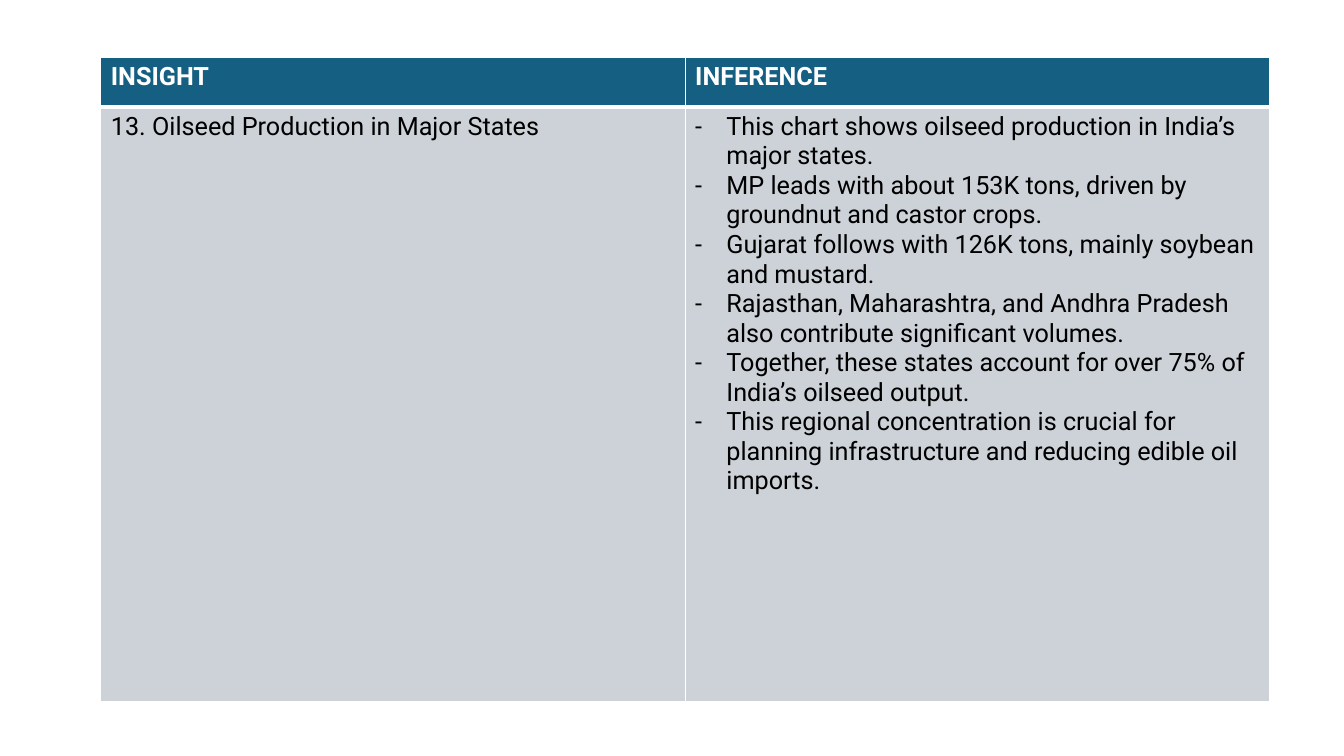
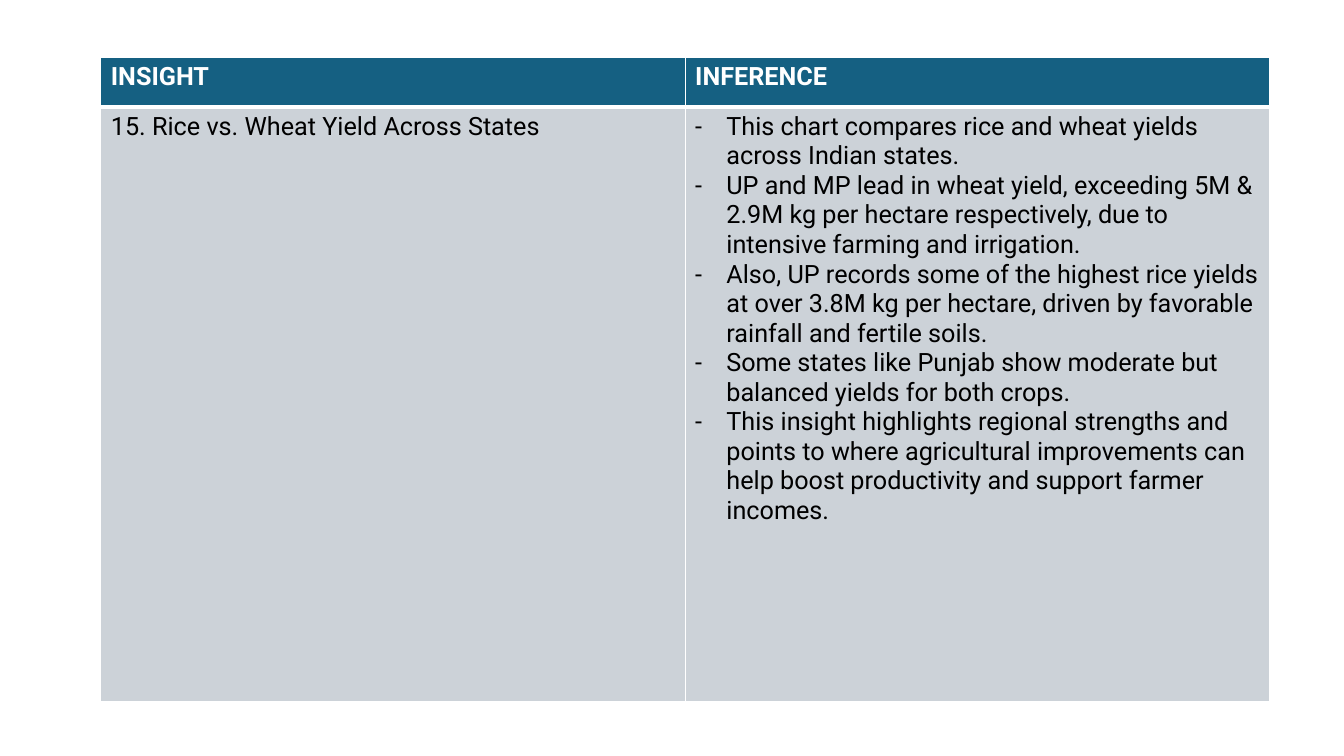
from dataclasses import dataclass

from pptx import Presentation
from pptx.dml.color import RGBColor
from pptx.oxml.ns import qn
from pptx.util import Inches, Pt
from lxml.etree import SubElement


@dataclass(frozen=True)
class Theme:
    """Colours, type and line weights shared by the slides."""
    header: str = "156082"
    body: str = "CCD2D8"
    light: str = "FFFFFF"
    dark: str = "000000"
    font: str = "Roboto"
    size: float = 18
    rule: float = 1
    header_rule: float = 3
    indent: float = 0.31


THEME = Theme()
SLIDE_W, SLIDE_H = 13.33, 7.5
TABLE_BOX = (1, 0.57, 11.59, 6.39)
HEADER_H = 0.49
HEADINGS = ("INSIGHT", "INFERENCE")
INSIGHTS = [
    ("13. Oilseed Production in Major States", [
        "This chart shows oilseed production in India’s major states.",
        "MP leads with about 153K tons, driven by groundnut and castor crops.",
        "Gujarat follows with 126K tons, mainly soybean and mustard.",
        "Rajasthan, Maharashtra, and Andhra Pradesh also contribute significant volumes.",
        "Together, these states account for over 75% of India’s oilseed output.",
        "This regional concentration is crucial for planning infrastructure and "
        "reducing edible oil imports.",
    ]),
    ("15. Rice vs. Wheat Yield Across States", [
        "This chart compares rice and wheat yields across Indian states.",
        "UP and MP lead in wheat yield, exceeding 5M & 2.9M kg per hectare "
        "respectively, due to intensive farming and irrigation.",
        "Also, UP records some of the highest rice yields at over 3.8M kg per hectare, "
        "driven by favorable rainfall and fertile soils.",
        "Some states like Punjab show moderate but balanced yields for both crops.",
        "This insight highlights regional strengths and points to where agricultural "
        "improvements can help boost productivity and support farmer incomes.",
    ]),
]


def add_dash(paragraph):
    """Give a paragraph a hanging dash bullet."""
    properties = paragraph._p.get_or_add_pPr()
    properties.set("marL", str(Inches(THEME.indent)))
    properties.set("indent", str(-Inches(THEME.indent)))
    SubElement(properties, qn("a:buFont"), typeface=THEME.font)
    SubElement(properties, qn("a:buChar"), char="-")


def style_cell(cell, fill, top, bottom):
    """Rule the four sides of a cell and fill it."""
    properties = cell._tc.get_or_add_tcPr()
    weights = {"L": THEME.rule, "R": THEME.rule, "T": top, "B": bottom}
    for side, weight in weights.items():
        rule = SubElement(properties, qn(f"a:ln{side}"), w=str(Pt(weight)))
        SubElement(SubElement(rule, qn("a:solidFill")), qn("a:srgbClr"), val=THEME.light)
    cell.fill.solid()
    cell.fill.fore_color.rgb = RGBColor.from_string(fill)


def write_cell(cell, lines, colour, bold=False, dashed=False):
    """Write one paragraph per line into a cell."""
    frame = cell.text_frame
    for index, line in enumerate(lines):
        paragraph = frame.add_paragraph() if index else frame.paragraphs[0]
        if dashed:
            add_dash(paragraph)
        run = paragraph.add_run()
        run.text = line
        run.font.name = THEME.font
        run.font.size = Pt(THEME.size)
        run.font.bold = bold
        run.font.color.rgb = RGBColor.from_string(colour)


def add_insight_table(slide, box, insight, inferences):
    """Place the two-column insight and inference table in a box."""
    left, top, width, height = map(Inches, box)
    table = slide.shapes.add_table(2, len(HEADINGS), left, top, width, height).table
    table.rows[0].height = Inches(HEADER_H)
    table.rows[1].height = height - Inches(HEADER_H)
    for column, heading in enumerate(HEADINGS):
        header, body = table.cell(0, column), table.cell(1, column)
        style_cell(header, THEME.header, THEME.rule, THEME.header_rule)
        style_cell(body, THEME.body, THEME.header_rule, THEME.rule)
        write_cell(header, [heading], THEME.light, bold=True)
    write_cell(table.cell(1, 0), [insight], THEME.dark)
    write_cell(table.cell(1, 1), inferences, THEME.dark, dashed=True)


def main():
    """Build one slide for each insight and save the presentation."""
    deck = Presentation()
    deck.slide_width, deck.slide_height = Inches(SLIDE_W), Inches(SLIDE_H)
    for insight, inferences in INSIGHTS:
        slide = deck.slides.add_slide(deck.slide_layouts[6])
        add_insight_table(slide, TABLE_BOX, insight, inferences)
    deck.save("out.pptx")


if __name__ == "__main__":
    main()
